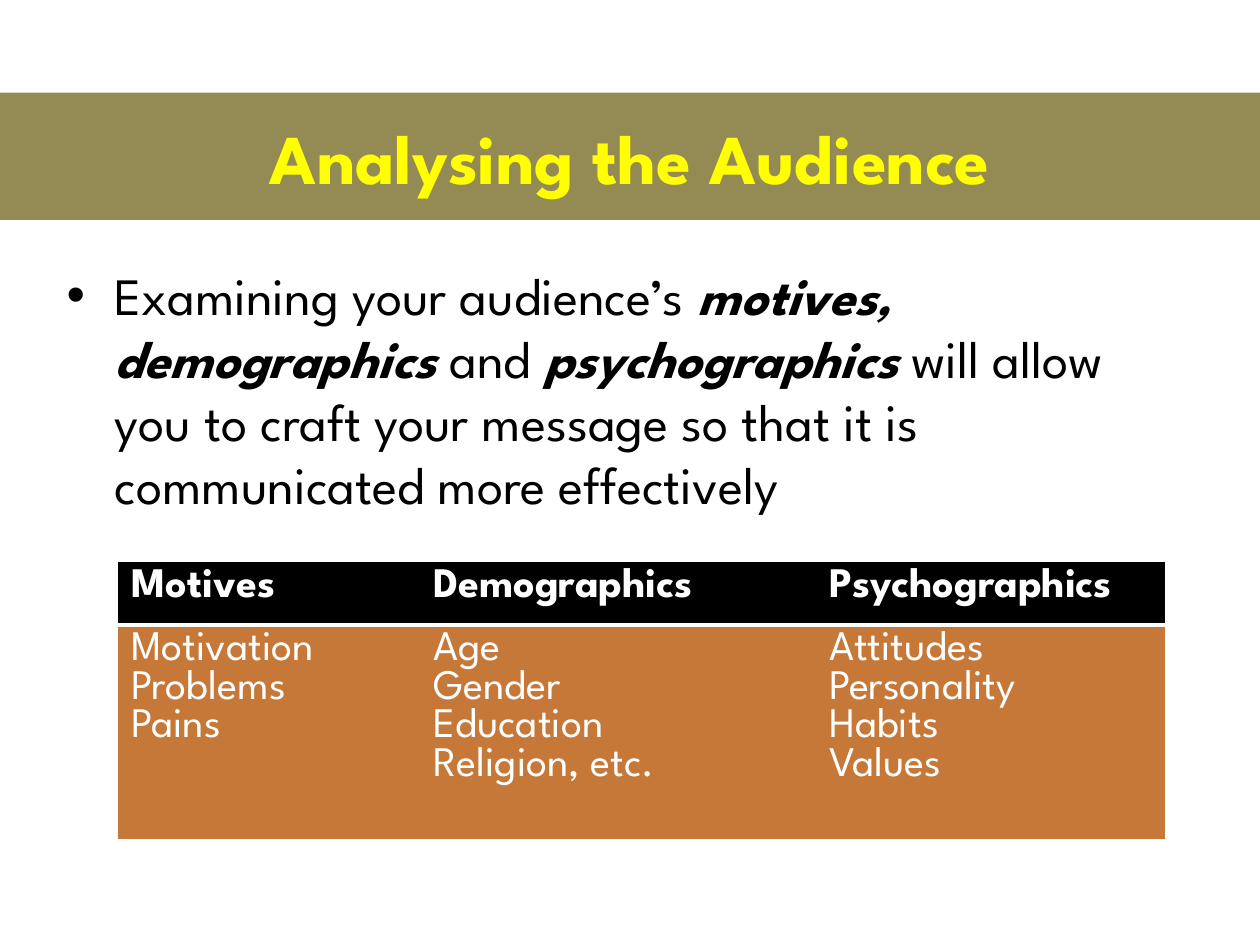
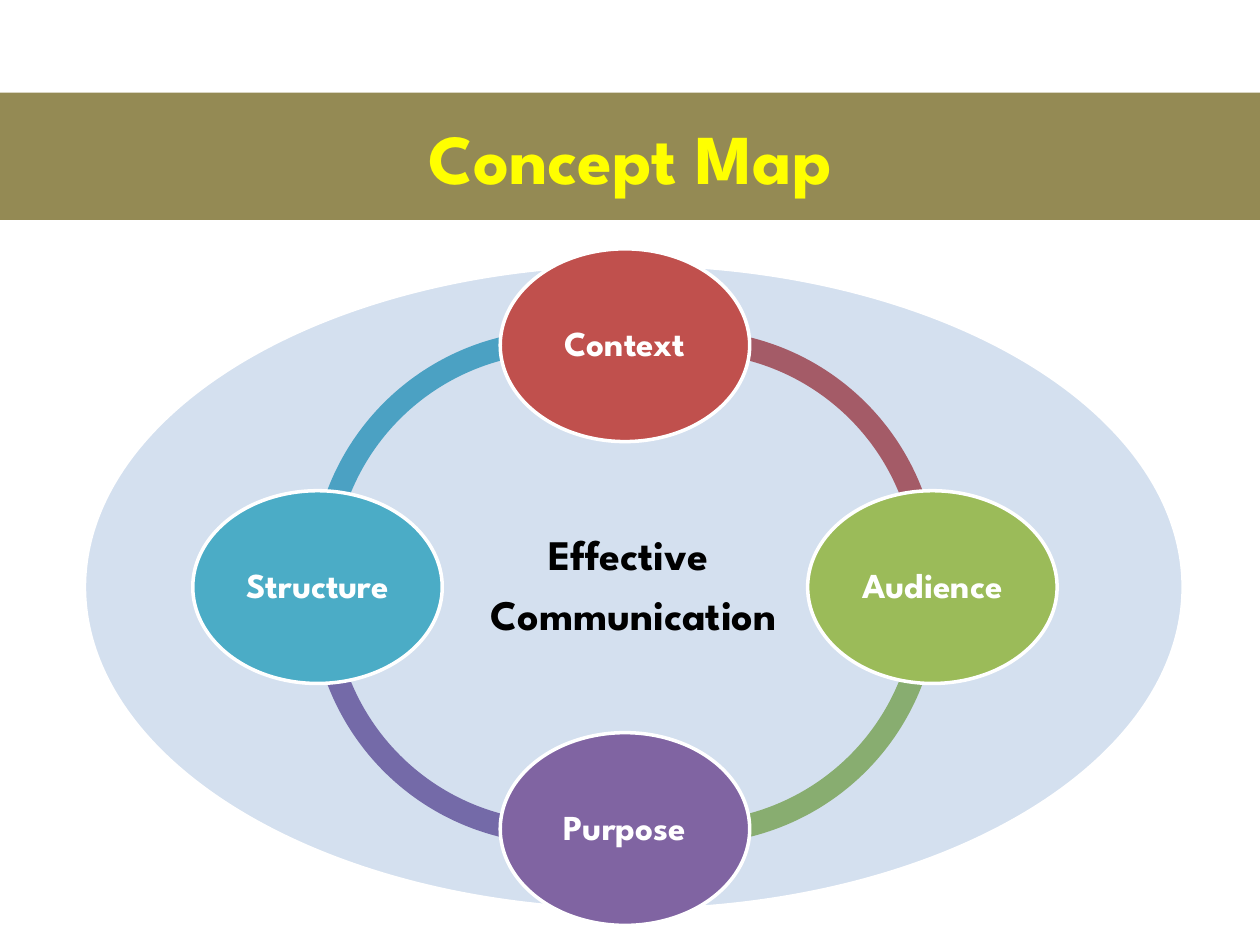
from pptx import Presentation
from pptx.dml.color import RGBColor
from pptx.enum.shapes import MSO_SHAPE as Geom
from pptx.enum.text import MSO_ANCHOR as Anchor, PP_ALIGN as Align
from pptx.oxml import parse_xml
from pptx.oxml.ns import nsdecls
from pptx.util import Inches, Pt

FONT = "League Spartan"
WHITE = RGBColor(0xFF, 0xFF, 0xFF)
BLACK = RGBColor(0, 0, 0)
OLIVE = RGBColor(0x94, 0x8A, 0x54)
YELLOW = RGBColor(0xFF, 0xFF, 0)
RUST = RGBColor(0xC6, 0x78, 0x38)
BLUE = RGBColor(0x4F, 0x81, 0xBD)
RED = RGBColor(0xC0, 0x50, 0x4D)
GREEN = RGBColor(0x9B, 0xBB, 0x59)
PURPLE = RGBColor(0x80, 0x64, 0xA2)
TEAL = RGBColor(0x4B, 0xAC, 0xC6)

INTRO = [
    ("Examining your audience’s ", False),
    ("motives, demographics ", True),
    ("and ", False),
    ("psychographics", True),
    (" will allow you to craft your message so that it is "
     "communicated more effectively", False),
]
TRAITS = [
    ("Motives", 2.4, "Motivation\nProblems\nPains"),
    ("Demographics", 3.14, "Age\nGender\nEducation\nReligion, etc."),
    ("Psychographics", 2.77, "Attitudes\nPersonality\nHabits\nValues"),
]
NODES = [
    ("Context", RED, 0, -1),
    ("Audience", GREEN, 1, 0),
    ("Purpose", PURPLE, 0, 1),
    ("Structure", TEAL, -1, 0),
]
ARCS = [
    (TEAL, -1, -1, 177.93, 285.47),
    (PURPLE, -1, 1, 74.54, 182.08),
    (GREEN, 1, 1, 357.82, 105.85),
    (RED, 1, -1, 254.15, 2.18),
]


def style(run, size, color, bold=False, italic=False):
    """Format one run in the deck font."""
    font = run.font
    font.name, font.size = FONT, Pt(size)
    font.bold, font.italic = bold, italic
    font.color.rgb = color


def write(frame, text, size, color, bold=True, align=Align.CENTER,
          space=None, after=None):
    """Fill a frame with styled paragraphs, one a line of text."""
    frame.text = text
    frame.word_wrap = True
    for para in frame.paragraphs:
        para.alignment = align
        para.line_spacing = space
        if after:
            para.space_after = Pt(after)
        for run in para.runs:
            style(run, size, color, bold)


def inset(frame, gap):
    """Give a frame equal margins and middle anchoring."""
    frame.margin_left = frame.margin_right = Inches(gap)
    frame.margin_top = frame.margin_bottom = Inches(gap)
    frame.vertical_anchor = Anchor.MIDDLE


def centred(slide, geom, x, y, w, h, fill, line=True):
    """Add a flat shape around a centre point."""
    shape = slide.shapes.add_shape(
        geom, Inches(x - w / 2), Inches(y - h / 2), Inches(w), Inches(h))
    shape.shadow.inherit = False
    shape.fill.solid()
    shape.fill.fore_color.rgb = fill
    if line:
        shape.line.color.rgb = WHITE
        shape.line.width = Pt(2)
    else:
        shape.line.fill.background()
    return shape


def banner(slide, title):
    """Add the title band across the slide."""
    band = centred(slide, Geom.RECTANGLE, 5, 1.24, 10, 1.01, OLIVE, False)
    band.text_frame.vertical_anchor = Anchor.MIDDLE
    write(band.text_frame, title, 40, YELLOW)


def intro(slide, x, y, w, h):
    """Add the bulleted opening statement."""
    box = slide.shapes.add_textbox(Inches(x), Inches(y), Inches(w), Inches(h))
    box.text_frame.word_wrap = True
    para = box.text_frame.paragraphs[0]
    props = para._p.get_or_add_pPr()
    props.set("marL", str(Inches(0.38)))
    props.set("indent", str(-Inches(0.38)))
    props.append(parse_xml(f'<a:buFont {nsdecls("a")} typeface="Arial"/>'))
    props.append(parse_xml(f'<a:buChar {nsdecls("a")} char="•"/>'))
    for text, strong in INTRO:
        run = para.add_run()
        run.text = text
        style(run, 30, BLACK, strong, strong)


def traits(slide, x, y, w):
    """Add the table of audience traits."""
    frame = slide.shapes.add_table(
        2, len(TRAITS), Inches(x), Inches(y), Inches(w), Inches(1.73))
    table = frame.table
    table.rows[0].height, table.rows[1].height = Inches(0.41), Inches(1.32)
    for col, (head, width, items) in enumerate(TRAITS):
        table.columns[col].width = Inches(width)
        for row, (text, fill) in enumerate([(head, BLACK), (items, RUST)]):
            cell = table.cell(row, col)
            write(cell.text_frame, text, 24, WHITE, row == 0, Align.LEFT)
            edges(cell, "B" if row == 0 else "T")
            cell.fill.solid()
            cell.fill.fore_color.rgb = fill


def edges(cell, ruled):
    """Draw a white rule on one side and clear the others."""
    props = cell._tc.get_or_add_tcPr()
    for side in "LRTB":
        fill = ('<a:solidFill><a:srgbClr val="FFFFFF"/></a:solidFill>'
                if side == ruled else "<a:noFill/>")
        props.append(parse_xml(
            f'<a:ln{side} {nsdecls("a")} w="{Pt(2)}">{fill}</a:ln{side}>'))


def cycle(slide, x, y):
    """Add the concept map around a centre point."""
    for color, right, down, start, end in ARCS:
        arc = centred(slide, Geom.BLOCK_ARC, x + 0.52 * right,
                      y + 0.07 * down, 3.94, 3.94, color, False)
        for i, value in enumerate((start * 0.6, end * 0.6, 0.046)):
            arc.adjustments[i] = value
    halo = centred(slide, Geom.OVAL, x + 0.07, y, 8.72, 5.12, BLUE)
    tint = halo._element.spPr.find(".//{*}solidFill/{*}srgbClr")
    tint.append(parse_xml(f'<a:alpha {nsdecls("a")} val="24000"/>'))
    core = slide.shapes.add_textbox(
        Inches(x - 3.01), Inches(y - 1.81), Inches(6.16), Inches(3.62))
    inset(core.text_frame, 0.03)
    write(core.text_frame, "Effective \nCommunication", 24, BLACK,
          space=0.9, after=8.4)
    for name, color, right, down in NODES:
        node = centred(slide, Geom.OVAL, x + 2.44 * right,
                       y + 1.92 * down, 1.98, 1.53, color)
        inset(node.text_frame, 0.03)
        write(node.text_frame, name, 20, WHITE, space=0.9, after=7)


def main():
    """Build and save both slides."""
    deck = Presentation()
    deck.slide_width, deck.slide_height = Inches(10), Inches(7.5)
    blank = deck.slide_layouts[6]
    first = deck.slides.add_slide(blank)
    intro(first, 0.43, 2.04, 8.91, 4.65)
    traits(first, 0.94, 4.46, 8.31)
    banner(first, "Analysing the Audience")
    second = deck.slides.add_slide(blank)
    cycle(second, 4.96, 4.66)
    banner(second, "Concept Map")
    deck.save("out.pptx")


if __name__ == "__main__":
    main()
